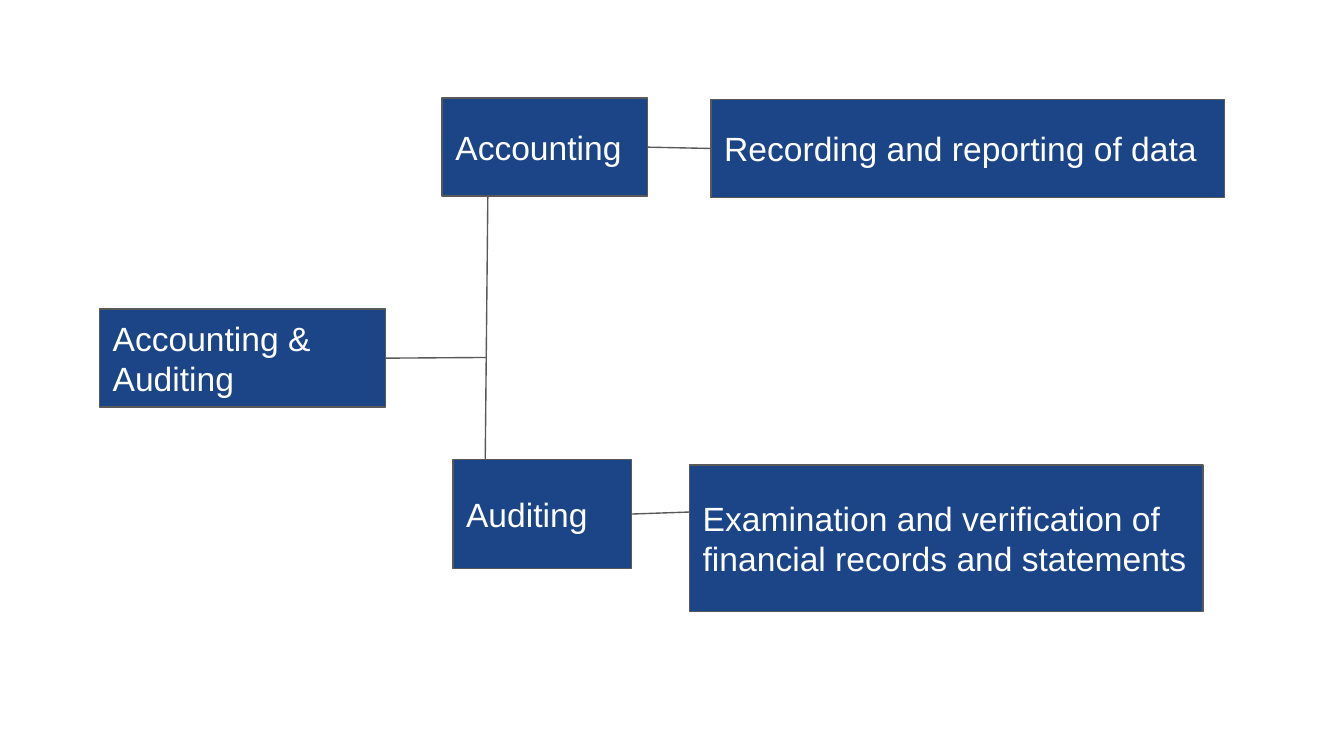
from typing import NamedTuple

from lxml import etree
from pptx import Presentation
from pptx.dml.color import RGBColor
from pptx.enum.shapes import MSO_CONNECTOR, MSO_SHAPE
from pptx.enum.text import MSO_ANCHOR, PP_ALIGN
from pptx.oxml.ns import qn
from pptx.util import Inches, Pt

RECTANGLE = MSO_SHAPE.RECTANGLE
STRAIGHT = MSO_CONNECTOR.STRAIGHT
MIDDLE = MSO_ANCHOR.MIDDLE
LEFT = PP_ALIGN.LEFT
LEFT_SIDE, RIGHT_SIDE = 1, 3

COLORS = {"box": "1C4587", "line": "595959", "text": "FFFFFF"}
FONT = "Arial"
TEXT_SIZE = 18
LINE_WIDTH = 0.75
INSET = 0.1
SLIDE_WIDTH = Inches(10)
SLIDE_HEIGHT = SLIDE_WIDTH * 9 // 16


class Box(NamedTuple):
    text: str
    left: float
    top: float
    width: float
    height: float


class Branch(NamedTuple):
    topic: Box
    meaning: Box
    link_end: float
    joined: bool


ROOT = Box("Accounting & Auditing", 0.74, 2.3, 2.13, 0.73)
BRANCHES = [
    Branch(Box("Accounting", 3.29, 0.73, 1.53, 0.73),
           Box("Recording and reporting of data", 5.29, 0.74, 3.82, 0.73),
           link_end=1.1, joined=True),
    Branch(Box("Auditing", 3.37, 3.42, 1.33, 0.81),
           Box("Examination and verification of financial records and statements",
               5.13, 3.46, 3.82, 1.09),
           link_end=3.81, joined=False),
]
TRUNK_TOP = (3.63, 1.44)
TRUNK_BOTTOM = (3.61, 3.47)
TRUNK_JOINT = (3.62, 2.66)


def rgb(name: str) -> RGBColor:
    return RGBColor.from_string(COLORS[name])


def style_line(line) -> None:
    line.color.rgb = rgb("line")
    line.width = Pt(LINE_WIDTH)


def add_box(slide, box: Box):
    sp = slide.shapes.add_shape(RECTANGLE, Inches(box.left), Inches(box.top),
                                Inches(box.width), Inches(box.height))
    sp.shadow.inherit = False
    sp.fill.solid()
    sp.fill.fore_color.rgb = rgb("box")
    style_line(sp.line)
    tf = sp.text_frame
    tf.word_wrap = True
    tf.vertical_anchor = MIDDLE
    tf.margin_left = tf.margin_right = Inches(INSET)
    tf.margin_top = tf.margin_bottom = Inches(INSET)
    tf.text = box.text
    p = tf.paragraphs[0]
    p.alignment = LEFT
    font = p.runs[0].font
    font.name = FONT
    font.size = Pt(TEXT_SIZE)
    font.color.rgb = rgb("text")
    return sp


def add_line(slide, start: tuple[float, float], end: tuple[float, float]):
    line = slide.shapes.add_connector(STRAIGHT, *map(Inches, start + end))
    style_line(line.line)
    etree.SubElement(line._element.spPr, qn("a:effectLst"))
    return line


def add_branch(slide, branch: Branch) -> None:
    """Draw a topic box, its meaning box and the line between them."""
    topic = add_box(slide, branch.topic)
    meaning = add_box(slide, branch.meaning)
    end = (branch.meaning.left, branch.link_end)
    link = add_line(slide, end, end)
    link.begin_connect(topic, RIGHT_SIDE)
    if branch.joined:
        link.end_connect(meaning, LEFT_SIDE)


def main() -> None:
    prs = Presentation()
    prs.slide_width = SLIDE_WIDTH
    prs.slide_height = SLIDE_HEIGHT
    slide = prs.slides.add_slide(prs.slide_layouts[6])

    root = add_box(slide, ROOT)
    stem = add_line(slide, TRUNK_JOINT, TRUNK_JOINT)
    stem.begin_connect(root, RIGHT_SIDE)
    add_line(slide, TRUNK_TOP, TRUNK_BOTTOM)
    for branch in BRANCHES:
        add_branch(slide, branch)

    prs.save("out.pptx")


if __name__ == "__main__":
    main()
